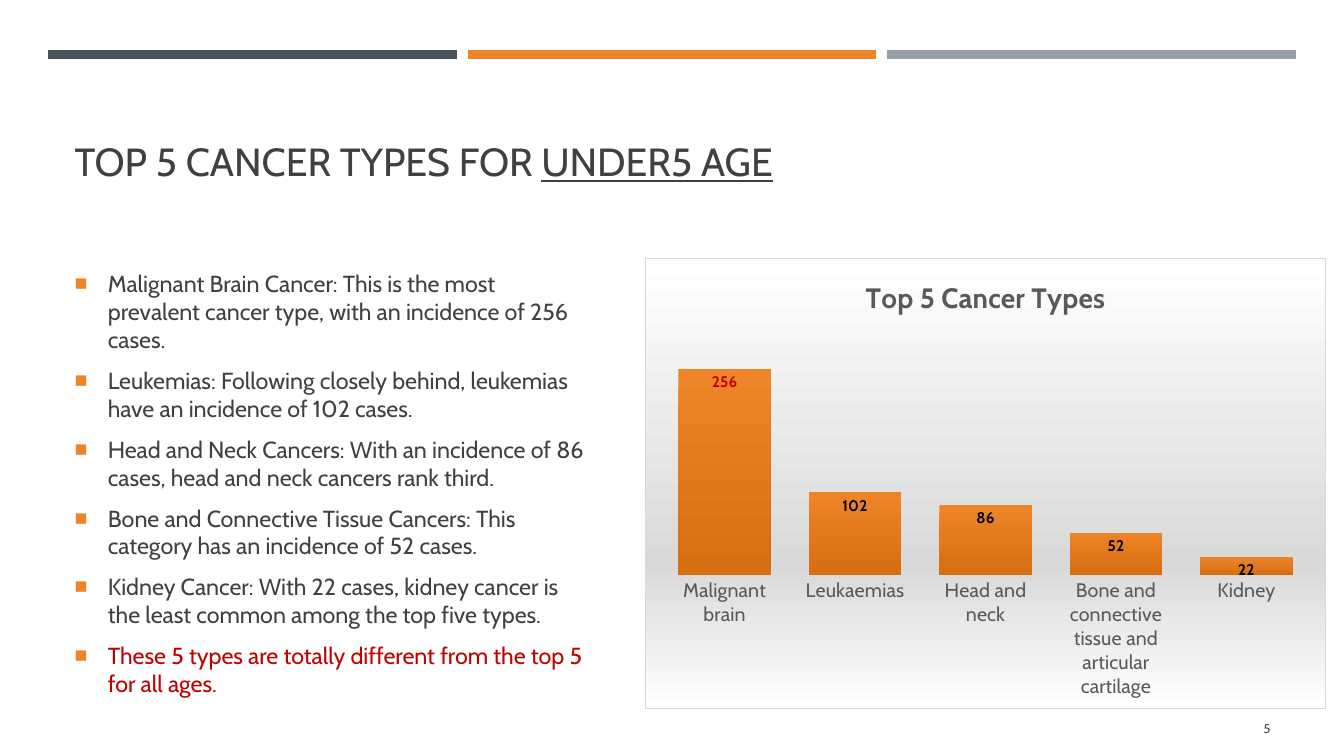
from lxml import etree
from pptx import Presentation
from pptx import util as u
from pptx.chart.data import CategoryChartData
from pptx.dml.color import RGBColor
from pptx.enum import chart as charts, shapes, text
from pptx.oxml import parse_xml
from pptx.oxml.ns import nsdecls, qn

ORANGE, SLATE, SILVER = "ED8428", "465359", "969FA7"
DARK, GRAY, RED, BLACK = "404040", "595959", "C00000", "000000"

BULLETS = [
    "Malignant Brain Cancer: This is the most prevalent cancer type, with an incidence of 256 cases.",
    "Leukemias: Following closely behind, leukemias have an incidence of 102 cases.",
    "Head and Neck Cancers: With an incidence of 86 cases, head and neck cancers rank third.",
    "Bone and Connective Tissue Cancers: This category has an incidence of 52 cases.",
    "Kidney Cancer: With 22 cases, kidney cancer is the least common among the top five types.",
    "These 5 types are totally different from the top 5 for all ages.",
]
CASES = {
    "Malignant brain": 256,
    "Leukaemias": 102,
    "Head and neck": 86,
    "Bone and connective tissue and articular cartilage": 52,
    "Kidney": 22,
}


def rgb(value):
    return RGBColor.from_string(value)


class SlideBuilder:
    font_name = "Cabin"

    def __init__(self, presentation):
        self.slide = presentation.slides.add_slide(presentation.slide_layouts[1])

    def style(self, font, size, color, bold=False):
        font.name, font.size, font.bold = self.font_name, u.Pt(size), bold
        font.color.rgb = rgb(color)

    def place(self, shape, left, top, width, height, anchor):
        shape.left, shape.top = u.Inches(left), u.Inches(top)
        shape.width, shape.height = u.Inches(width), u.Inches(height)
        frame = shape.text_frame
        frame.word_wrap = True
        frame.auto_size = text.MSO_AUTO_SIZE.NONE
        frame.vertical_anchor = anchor
        return frame

    def bar(self, left, top, width, color):
        line = self.slide.shapes.add_connector(
            shapes.MSO_CONNECTOR.STRAIGHT,
            u.Inches(left), u.Inches(top), u.Inches(left + width), u.Inches(top))
        line.line.color.rgb = rgb(color)
        line.line.width = u.Pt(6.5)
        etree.SubElement(line._element.spPr, qn("a:effectLst"))

    def title(self, plain, underlined, *box):
        frame = self.place(self.slide.shapes.title, *box, text.MSO_ANCHOR.BOTTOM)
        paragraph = frame.paragraphs[0]
        paragraph.alignment = text.PP_ALIGN.LEFT
        paragraph.add_run().text = plain
        run = paragraph.add_run()
        run.text = underlined
        run.font.underline = True
        self.style(paragraph.font, 28, DARK)

    def bullet_list(self, items, *box):
        frame = self.place(self.slide.placeholders[1], *box, text.MSO_ANCHOR.MIDDLE)
        frame.text = "\n".join(items)
        for paragraph in frame.paragraphs:
            paragraph.space_after = u.Pt(6)
            properties = paragraph._p.get_or_add_pPr()
            properties.set("marL", str(u.Inches(0.33)))
            properties.set("indent", str(u.Inches(-0.33)))
            bullet_color = etree.SubElement(properties, qn("a:buClr"))
            etree.SubElement(bullet_color, qn("a:srgbClr"), val=ORANGE)
            etree.SubElement(properties, qn("a:buSzPct"), val="92000")
            etree.SubElement(properties, qn("a:buChar"), char="■")
            self.style(paragraph.font, 16.6, DARK)
        frame.paragraphs[-1].font.color.rgb = rgb(RED)

    def page_number(self, number, *box):
        shape = self.slide.shapes.add_textbox(0, 0, 0, 0)
        frame = self.place(shape, *box, text.MSO_ANCHOR.MIDDLE)
        paragraph = frame.paragraphs[0]
        paragraph.text = number
        paragraph.alignment = text.PP_ALIGN.RIGHT
        self.style(paragraph.font, 9, DARK)

    def column_chart(self, heading, values, *box):
        data = CategoryChartData(number_format="#,##0")
        data.categories = list(values)
        data.add_series("Series 1", list(values.values()))
        chart = self.slide.shapes.add_chart(
            charts.XL_CHART_TYPE.COLUMN_CLUSTERED, *map(u.Inches, box), data).chart
        self.style(chart.font, 10, BLACK)
        chart.has_legend = False
        chart.has_title = True
        chart.chart_title.include_in_layout = False
        paragraph = chart.chart_title.text_frame.paragraphs[0]
        paragraph.text = heading
        self.style(paragraph.font, 20, GRAY, bold=True)

        # Axes
        category_axis, value_axis = chart.category_axis, chart.value_axis
        category_axis.major_tick_mark = charts.XL_TICK_MARK.NONE
        category_axis.format.line.fill.background()
        self.style(category_axis.tick_labels.font, 14, GRAY)
        value_axis.visible = value_axis.has_major_gridlines = False
        value_axis.minimum_scale, value_axis.maximum_scale = 0, 300

        # Columns and their labels
        plot = chart.plots[0]
        plot.gap_width = 41
        plot.vary_by_categories = False
        series = plot.series[0]
        fill = series.format.fill
        fill.gradient()
        fill.gradient_angle = 270
        for stop, color in zip(fill.gradient_stops, (ORANGE, "D76E12")):
            stop.color.rgb = rgb(color)
        labels = series.data_labels
        labels.show_value = True
        labels.number_format, labels.number_format_is_linked = "#,##0", False
        first_label = series.points[0].data_label
        for label, color in ((labels, BLACK), (first_label, RED)):
            self.style(label.font, 11, color, bold=True)
            label.position = charts.XL_LABEL_POSITION.INSIDE_END
        self.chart_background(chart)

    def chart_background(self, chart):
        stops = "".join(
            f'<a:gs pos="{position}000"><a:srgbClr val="{color}"/></a:gs>'
            for position, color in ((0, "FFFFFF"), (68, "D9D9D9"), (100, "FFFFFF")))
        background = parse_xml(
            f'<c:spPr {nsdecls("c", "a")}><a:gradFill><a:gsLst>{stops}</a:gsLst>'
            f'<a:lin ang="5400000" scaled="0"/></a:gradFill><a:ln w="{u.Pt(0.75)}">'
            '<a:solidFill><a:srgbClr val="D9D9D9"/></a:solidFill></a:ln></c:spPr>')
        chart._chartSpace.find(qn("c:chart")).addnext(background)


def main():
    presentation = Presentation()
    presentation.slide_width = u.Inches(13.33)
    presentation.slide_height = u.Inches(7.5)
    builder = SlideBuilder(presentation)

    # Header bars
    for index, color in enumerate((SLATE, ORANGE, SILVER)):
        builder.bar(0.48 + index * 4.16, 0.54, 4.05, color)

    # Title and findings
    builder.title("TOP 5 CANCER TYPES FOR ", "UNDER5 AGE", 0.64, 0.8, 12.06, 1.08)
    builder.bullet_list(BULLETS, 0.64, 2.56, 5.31, 4.47)

    # Chart and page number
    builder.column_chart("Top 5 Cancer Types", CASES, 6.4, 2.56, 6.75, 4.47)
    builder.page_number("5", 11.55, 7.03, 1.15, 0.4)

    presentation.save("out.pptx")


if __name__ == "__main__":
    main()
